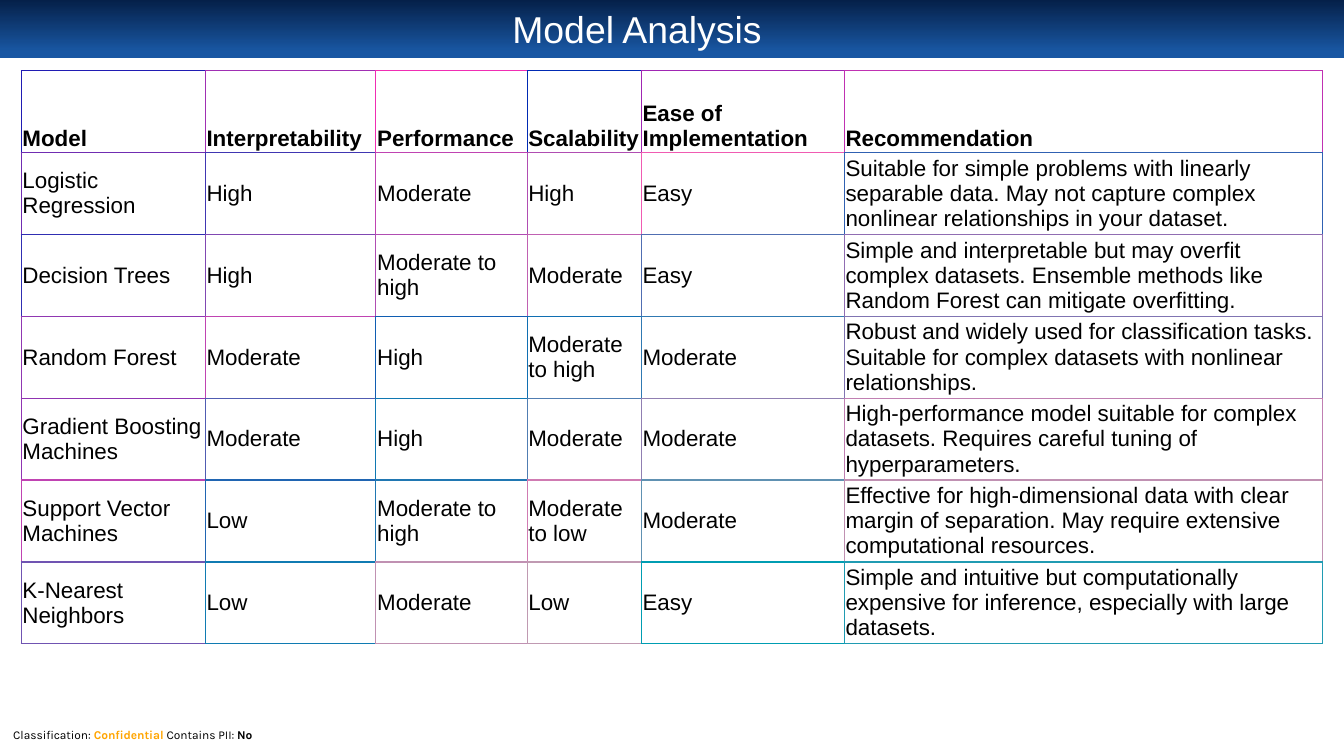
"""Build the Model Analysis slide with its comparison table."""
from dataclasses import dataclass

from pptx import Presentation
from pptx import util as u
from pptx.dml.color import RGBColor
from pptx.enum import shapes, text
from pptx.oxml import parse_xml
from pptx.oxml.ns import nsdecls

WIDTH = u.Inches(10)
HEIGHT = u.Inches(10 * 9 / 16)
COLOURS = {
    "navy": "052049",
    "blue": "1957A3",
    "white": "FFFFFF",
    "black": "000000",
    "orange": "FFA500",
}
COLUMN_SHARES = (13.7, 12.7, 11.25, 8.5, 15.1, 35.55)
ROW_SHARE = 10.84
THIN, THICK = 0.5, 0.75


@dataclass(frozen=True)
class Area:
    """Position and size in percent of the slide."""

    left: float
    top: float
    width: float
    height: float

    def lengths(self) -> tuple[int, int, int, int]:
        """Return left, top, width and height as lengths."""
        return (across(self.left), down(self.top), across(self.width), down(self.height))


@dataclass(frozen=True)
class Row:
    """Cell texts of a table row and the border colour each cell starts with."""

    cells: tuple[str, ...]
    edges: str


@dataclass(frozen=True)
class Span:
    """A stretch of footer text with its own look."""

    words: str
    colour: str = "black"
    bold: bool = False


ROWS = (
    Row(("Model", "Interpretability", "Performance", "Scalability",
         "Ease of Implementation", "Recommendation"),
        "201CB3 A02FB3 F02DB3 002AB3 A026B3 C031B2"),
    Row(("Logistic Regression", "High", "Moderate", "High", "Easy",
         "Suitable for simple problems with linearly separable data. "
         "May not capture complex nonlinear relationships in your dataset."),
        "702DB2 4036B2 C043B2 B04DB2 F05BB2 3061B2"),
    Row(("Decision Trees", "High", "Moderate to high", "Moderate", "Easy",
         "Simple and interpretable but may overfit complex datasets. "
         "Ensemble methods like Random Forest can mitigate overfitting."),
        "302EB2 8047B2 B04DB2 C061B2 506EB2 906DB2"),
    Row(("Random Forest", "Moderate", "High", "Moderate to high", "Moderate",
         "Robust and widely used for classification tasks. "
         "Suitable for complex datasets with nonlinear relationships."),
        "9037B2 C043B2 105DB2 106FB2 3079B2 8074B2"),
    Row(("Gradient Boosting Machines", "Moderate", "High", "Moderate", "Moderate",
         "High-performance model suitable for complex datasets. "
         "Requires careful tuning of hyperparameters."),
        "9034B2 505CB2 1078B2 507DB2 907FB2 C07FB2"),
    Row(("Support Vector Machines", "Low", "Moderate to high", "Moderate to low", "Moderate",
         "Effective for high-dimensional data with clear margin of separation. "
         "May require extensive computational resources."),
        "C043B2 2065B2 2077B2 D07BB2 6091B2 C091B2"),
    Row(("K-Nearest Neighbors", "Low", "Moderate", "Low", "Easy",
         "Simple and intuitive but computationally expensive for inference, "
         "especially with large datasets."),
        "7054B2 107BB2 C091B2 C09AB2 009DB2 209BB2"),
)
FOOTER = (
    Span("Classification: "),
    Span("Confidential", "orange", True),
    Span(" Contains PII: "),
    Span("No", bold=True),
)


def across(percent: float) -> int:
    """Turn a percentage of the slide width into a length."""
    return u.Emu(round(WIDTH * percent / 100))


def down(percent: float) -> int:
    """Turn a percentage of the slide height into a length."""
    return u.Emu(round(HEIGHT * percent / 100))


def colour(name: str) -> RGBColor:
    """Look up a named colour."""
    return RGBColor.from_string(COLOURS[name])


def style(font, face: str, size: float, name: str, bold: bool = False) -> None:
    """Set the face, size, colour and weight of a font."""
    font.name, font.size, font.bold = face, u.Pt(size), bold
    font.color.rgb = colour(name)


def add_band(page, area: Area):
    """Add a plain rectangle without line or shadow behind the title."""
    band = page.shapes.add_shape(shapes.MSO_SHAPE.RECTANGLE, *area.lengths())
    band.shadow.inherit = False
    band.line.fill.background()
    page.shapes.title.element.addprevious(band.element)
    return band


def add_header(page) -> None:
    """Place the gradient bar behind the formatted title."""
    bar = add_band(page, Area(0, 0, 100, 7.64))
    bar.fill.gradient()
    bar.fill.gradient_angle = 270
    for stop, name, position in zip(bar.fill.gradient_stops, ("navy", "blue"), (0, 0.9)):
        stop.color.rgb, stop.position = colour(name), position
    title = page.shapes.title
    title.left, title.top, title.width, title.height = Area(4.3, -5.51, 86.2, 19.2).lengths()
    frame = title.text_frame
    frame.text = "Model Analysis"
    frame.auto_size = text.MSO_AUTO_SIZE.NONE
    frame.vertical_anchor = text.MSO_ANCHOR.MIDDLE
    frame.margin_left = frame.margin_right = u.Inches(0.07)
    frame.margin_top = frame.margin_bottom = u.Inches(0.04)
    para = frame.paragraphs[0]
    para.alignment = text.PP_ALIGN.CENTER
    para.line_spacing, para.space_after = 0.9, u.Pt(4.5)
    style(para.font, "Arial", 20, "white")


def add_border(cell, side: str, edge: str, points: float) -> None:
    """Draw one side of a table cell."""
    cell._tc.get_or_add_tcPr().append(parse_xml(
        f'<a:ln{side} {nsdecls("a")} w="{u.Pt(points)}"><a:solidFill>'
        f'<a:srgbClr val="{edge}"/></a:solidFill></a:ln{side}>'))


def add_models(page) -> None:
    """Add the table, where each cell shares its borders with its neighbours."""
    area = Area(1.57, 9.33, sum(COLUMN_SHARES), ROW_SHARE * len(ROWS))
    table = page.shapes.add_table(len(ROWS), len(COLUMN_SHARES), *area.lengths()).table
    table.first_row = table.horz_banding = False
    for column, share in zip(table.columns, COLUMN_SHARES):
        column.width = across(share)
    edges = [row.edges.split() for row in ROWS]
    last_row, last_column = len(ROWS) - 1, len(COLUMN_SHARES) - 1
    for r, row in enumerate(ROWS):
        for c, words in enumerate(row.cells):
            cell = table.cell(r, c)
            add_border(cell, "L", edges[r][c], THIN)
            add_border(cell, "R", edges[r][min(c + 1, last_column)], THIN)
            add_border(cell, "T", edges[r][c], THICK if r else THIN)
            add_border(cell, "B", edges[min(r + 1, last_row)][c], THICK if r < last_row else THIN)
            cell.fill.solid()
            cell.fill.fore_color.rgb = colour("white")
            cell.margin_left = cell.margin_right = u.Inches(0.01)
            cell.margin_top = cell.margin_bottom = u.Inches(0.01)
            cell.vertical_anchor = text.MSO_ANCHOR.MIDDLE if r else text.MSO_ANCHOR.BOTTOM
            cell.text = words
            style(cell.text_frame.paragraphs[0].font, "Arial", 12, "black", bold=r == 0)


def add_footer(page) -> None:
    """Add the classification band at the foot of the slide."""
    band = add_band(page, Area(0, 95.29, 100, 3.73))
    band.fill.solid()
    band.fill.fore_color.rgb = colour("white")
    frame = band.text_frame
    frame.word_wrap = True
    frame.vertical_anchor = text.MSO_ANCHOR.MIDDLE
    para = frame.paragraphs[0]
    para.alignment = text.PP_ALIGN.LEFT
    for span in FOOTER:
        run = para.add_run()
        run.text = span.words
        style(run.font, "Karla", 6.4, span.colour, span.bold)


def main() -> None:
    """Build and save the deck."""
    deck = Presentation()
    deck.slide_width, deck.slide_height = WIDTH, HEIGHT
    page = deck.slides.add_slide(deck.slide_layouts.get_by_name("Title Only"))
    add_header(page)
    add_footer(page)
    add_models(page)
    deck.save("out.pptx")


if __name__ == "__main__":
    main()
